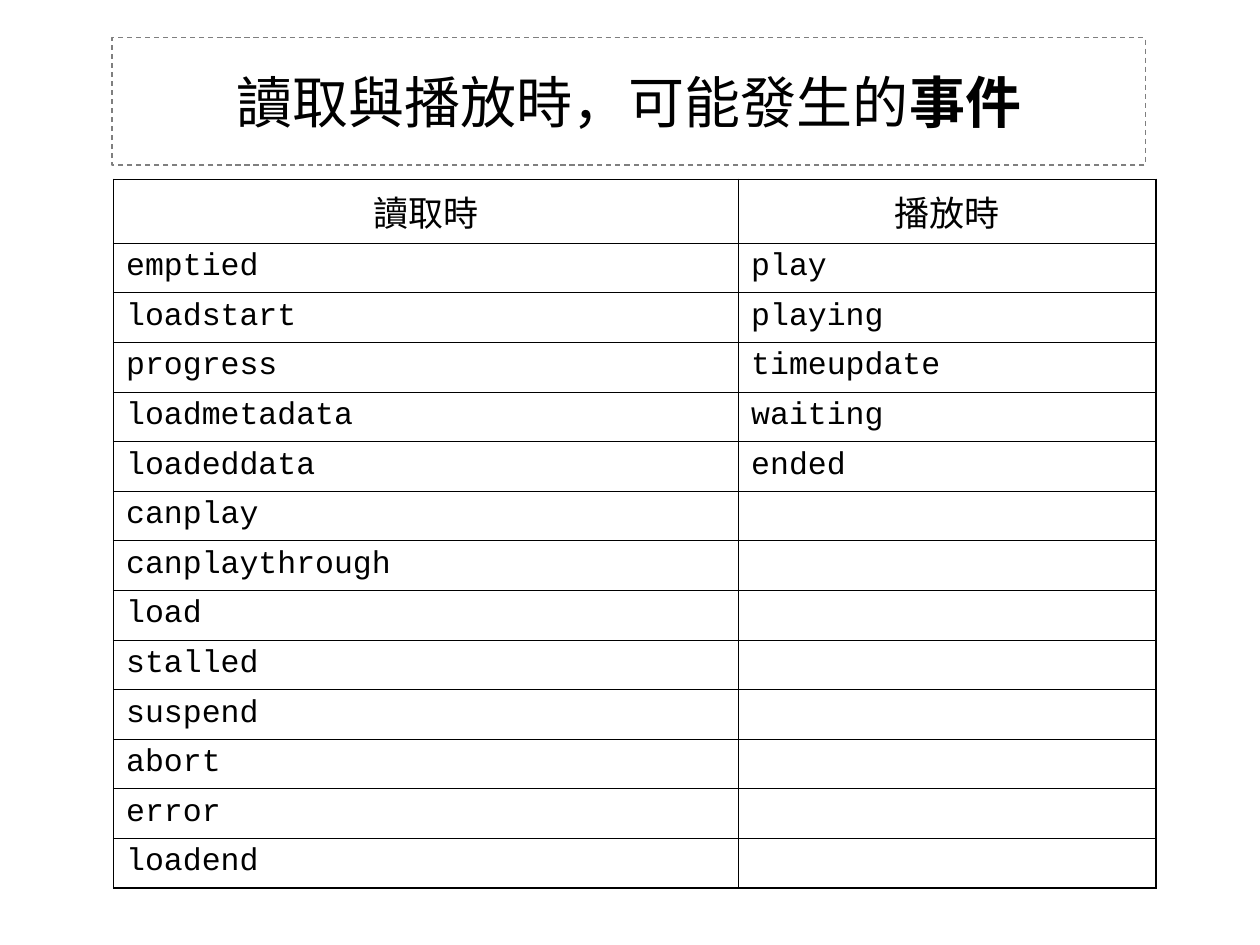
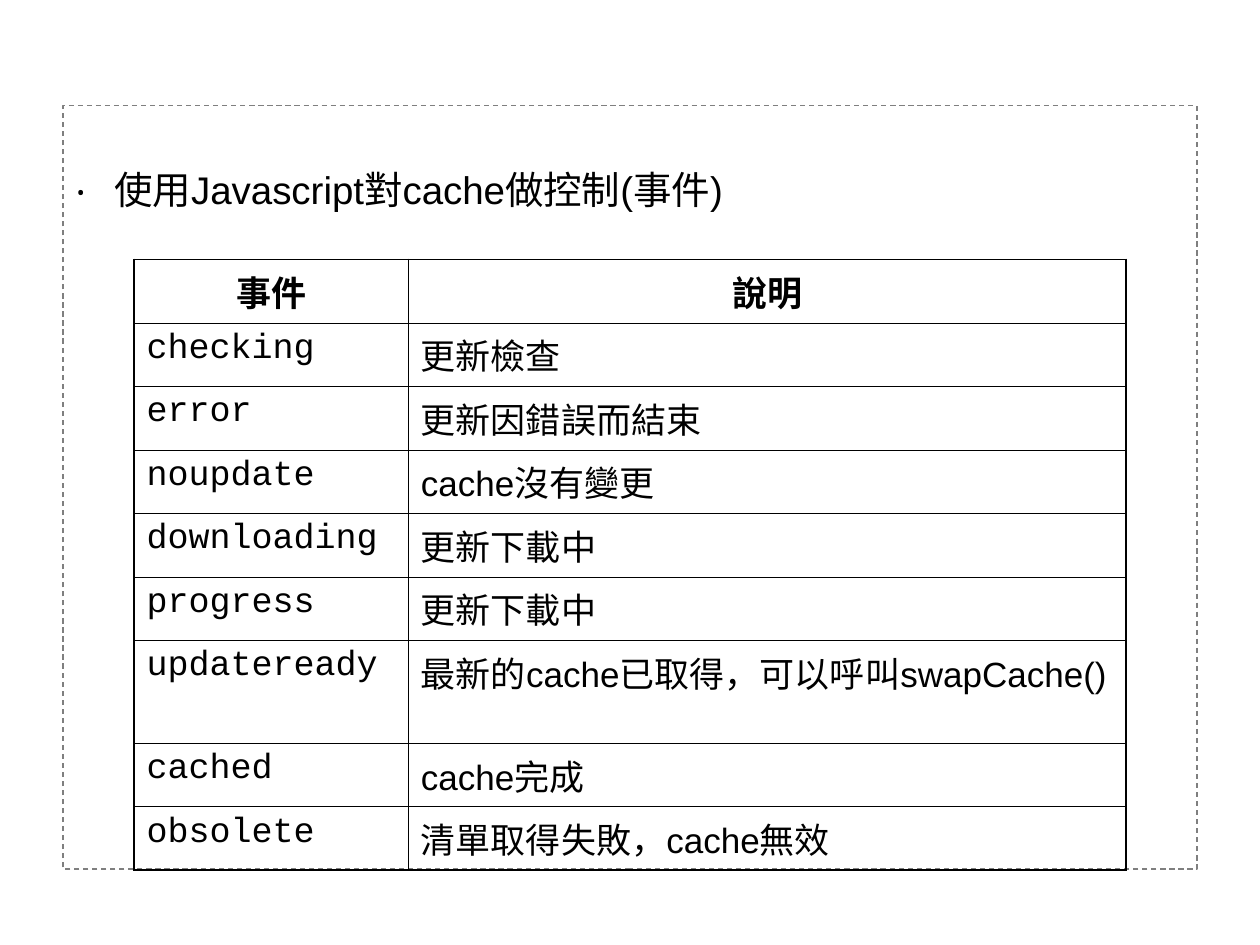
from dataclasses import dataclass

from lxml.etree import SubElement
from pptx import Presentation
from pptx.dml.color import RGBColor
from pptx.enum.dml import MSO_LINE
from pptx.enum.text import MSO_ANCHOR as Anchor
from pptx.enum.text import MSO_AUTO_SIZE as AutoSize
from pptx.enum.text import PP_ALIGN as Align
from pptx.oxml.ns import qn
from pptx.util import Cm, Pt


@dataclass(frozen=True)
class Theme:
    ink: RGBColor = RGBColor(0, 0, 0)
    frame: RGBColor = RGBColor(0x7F, 0x7F, 0x7F)
    sans: str = "Arial"
    mono: str = "Courier New"
    title_size: int = 32
    bullet_size: int = 22
    heading_size: int = 20
    event_size: int = 18
    frame_width: float = 0.75
    outer_rule: float = 1.08
    inner_rule: float = 0.45


THEME = Theme()
TITLE_AND_CONTENT, TITLE_ONLY = 1, 5
HEADING_ROW = 1.28

LOADING_EVENTS = [
    "emptied", "loadstart", "progress", "loadmetadata", "loadeddata",
    "canplay", "canplaythrough", "load", "stalled", "suspend", "abort",
    "error", "loadend",
]
PLAYING_EVENTS = ["play", "playing", "timeupdate", "waiting", "ended"]
CACHE_EVENTS = [
    ("checking", "更新檢查"),
    ("error", "更新因錯誤而結束"),
    ("noupdate", "cache沒有變更"),
    ("downloading", "更新下載中"),
    ("progress", "更新下載中"),
    ("updateready", "最新的cache已取得，可以呼叫swapCache()"),
    ("cached", "cache完成"),
    ("obsolete", "清單取得失敗，cache無效"),
]


def style_font(font, size, name=THEME.sans, bold=False):
    font.size = Pt(size)
    font.name = name
    font.bold = bold
    font.color.rgb = THEME.ink


def frame_placeholder(placeholder, left, top, width, height, anchor):
    """Place a placeholder and give it the dashed grey outline."""
    placeholder.left, placeholder.top = Cm(left), Cm(top)
    placeholder.width, placeholder.height = Cm(width), Cm(height)
    placeholder.line.color.rgb = THEME.frame
    placeholder.line.width = Pt(THEME.frame_width)
    placeholder.line.dash_style = MSO_LINE.DASH
    text_frame = placeholder.text_frame
    text_frame.auto_size = AutoSize.NONE
    text_frame.vertical_anchor = anchor
    return text_frame


def set_title(slide, plain, emphasis):
    text_frame = frame_placeholder(
        slide.shapes.title, 2.26, 0.76, 20.83, 2.57, Anchor.MIDDLE)
    text_frame.text = plain
    heading = text_frame.paragraphs[0]
    heading.alignment = Align.CENTER
    style_font(heading.runs[0].font, THEME.title_size)
    stressed = heading.add_run()
    stressed.text = emphasis
    style_font(stressed.font, THEME.title_size, bold=True)


def set_bullet(placeholder, statement):
    text_frame = frame_placeholder(
        placeholder, 1.27, 2.13, 22.86, 15.39, Anchor.TOP)
    text_frame.margin_top = Cm(1.21)
    text_frame.text = statement
    item = text_frame.paragraphs[0]
    item.space_before = Pt(0)
    properties = item._p.get_or_add_pPr()
    properties.set("marL", str(Cm(0.78)))
    properties.set("indent", str(-Cm(0.78)))
    SubElement(properties, qn("a:buFont"), typeface=THEME.sans)
    SubElement(properties, qn("a:buChar"), char="‧")
    style_font(item.runs[0].font, THEME.bullet_size)


def rule_cell(cell, outer_sides):
    """Draw the four borders, heavier on the table's outer sides."""
    properties = cell._tc.get_or_add_tcPr()
    for side in "LRTB":
        points = THEME.outer_rule if side in outer_sides else THEME.inner_rule
        border = SubElement(properties, qn(f"a:ln{side}"), w=str(Pt(points)))
        fill = SubElement(border, qn("a:solidFill"))
        SubElement(fill, qn("a:srgbClr"), val=str(THEME.ink))
    cell.fill.background()


def fill_cell(cell, entry, size, font_name, bold=False, centred=False):
    cell.text_frame.text = entry
    line = cell.text_frame.paragraphs[0]
    line.alignment = Align.CENTER if centred else Align.LEFT
    for run in line.runs:
        style_font(run.font, size, font_name, bold)
    if not entry:
        blank = SubElement(line._p, qn("a:endParaRPr"), sz=str(size * 100))
        SubElement(blank, qn("a:latin"), typeface=font_name)


def add_event_table(slide, left, top, widths, heights, headings, events,
                    size, fonts, bold_headings=False):
    """Add a ruled table; fonts names one typeface per column of events."""
    rows = [headings, *events]
    table = slide.shapes.add_table(
        len(rows), len(widths), Cm(left), Cm(top),
        Cm(sum(widths)), Cm(sum(heights))).table
    table.horz_banding = False
    for column, width in zip(table.columns, widths):
        column.width = Cm(width)
    for row, height in zip(table.rows, heights):
        row.height = Cm(height)

    last_row, last_column = len(rows) - 1, len(widths) - 1
    for r, entries in enumerate(rows):
        for c, entry in enumerate(entries):
            cell = table.cell(r, c)
            edges = {"L": c == 0, "R": c == last_column,
                     "T": r == 0, "B": r == last_row}
            rule_cell(cell, [side for side, outer in edges.items() if outer])
            if r == 0:
                fill_cell(cell, entry, THEME.heading_size, THEME.sans,
                          bold_headings, centred=True)
            else:
                fill_cell(cell, entry, size, fonts[c])


def build_media_events(deck):
    slide = deck.slides.add_slide(deck.slide_layouts[TITLE_ONLY])
    set_title(slide, "讀取與播放時，可能發生的", "事件")
    unused = len(LOADING_EVENTS) - len(PLAYING_EVENTS)
    events = list(zip(LOADING_EVENTS, PLAYING_EVENTS + [""] * unused))
    add_event_table(
        slide, 2.29, 3.62, [12.6, 8.41], [HEADING_ROW] + [1.0] * len(events),
        ("讀取時", "播放時"), events, THEME.event_size,
        [THEME.mono, THEME.mono])


def build_cache_events(deck):
    slide = deck.slides.add_slide(deck.slide_layouts[TITLE_AND_CONTENT])
    title = slide.shapes.title
    title.element.getparent().remove(title.element)
    set_bullet(slide.placeholders[1], "使用Javascript對cache做控制(事件)")
    heights = [HEADING_ROW] + [
        2.07 if event == "updateready" else HEADING_ROW
        for event, _ in CACHE_EVENTS]
    add_event_table(
        slide, 2.7, 5.23, [5.53, 14.47], heights, ("事件", "說明"),
        CACHE_EVENTS, THEME.heading_size, [THEME.mono, THEME.sans],
        bold_headings=True)


def main():
    deck = Presentation()
    deck.slide_width, deck.slide_height = Cm(25.4), Cm(19.05)
    build_media_events(deck)
    build_cache_events(deck)
    deck.save("out.pptx")


if __name__ == "__main__":
    main()
